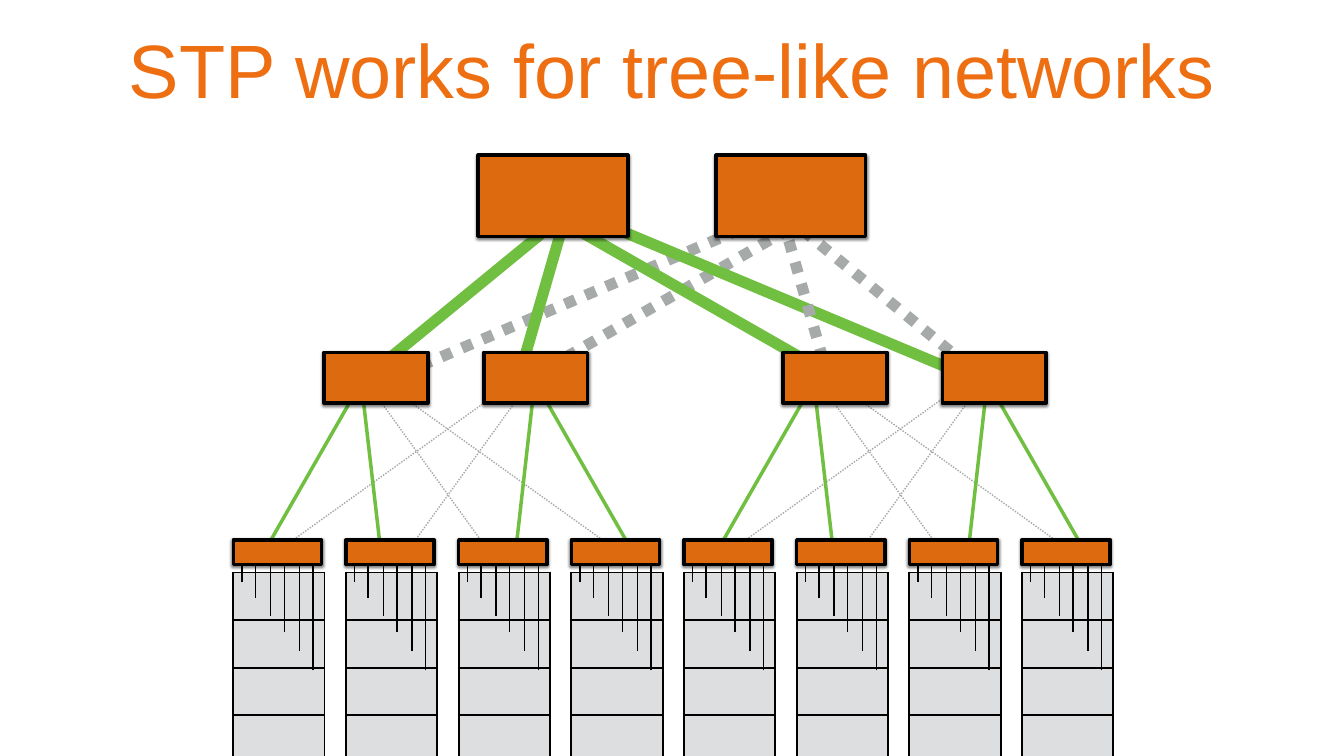
from lxml import etree
from pptx import Presentation
from pptx.dml.color import RGBColor
from pptx.enum.dml import MSO_LINE
from pptx.enum.shapes import MSO_CONNECTOR, MSO_SHAPE
from pptx.enum.text import MSO_ANCHOR, PP_ALIGN
from pptx.oxml import parse_xml
from pptx.oxml.ns import nsdecls, qn
from pptx.util import Inches, Pt

STRAIGHT, RECTANGLE = MSO_CONNECTOR.STRAIGHT, MSO_SHAPE.RECTANGLE
DOTTED = MSO_LINE.ROUND_DOT  # sysDot
MIDDLE, CENTER = MSO_ANCHOR.MIDDLE, PP_ALIGN.CENTER

THEME = {
    "font": "Arial", "title_size": 108,
    "title": "EE6E12", "switch": "DE6A10", "server": "DCDEE0", "outline": "000000",
    "active": "70BF41", "blocked": "A6AAA9",
    "core_link": 16, "active_link": 5, "blocked_link": 2,
    "switch_line": 5, "server_line": 3, "cable": 2,
}

# Content: positions count columns and rows of the slide grid
TITLE = "STP works for tree-like networks"
COLUMNS, ROWS = 26.67, 15
TITLE_AREA = (1.81, -0.01, 23.05, 2.71)

CORE_SWITCHES = {"lefts": (9.49, 14.21), "top": 3.08, "size": (2.97, 1.61)}
POD_SWITCHES = {"lefts": (6.43, 9.6, 15.54, 18.7), "top": 6.99, "size": (2.06, 1.01)}

# Core links: start x, start y, end x, end y
BLOCKED_BEHIND = [(15.66, 4.54, 10.67, 7.41), (15.09, 4.38, 7.54, 7.6)]
ACTIVE_CORE = [(11.44, 4.55, 16.44, 7.41), (11.87, 4.39, 19.56, 7.61),
               (11.2, 4.36, 10.31, 7.44), (10.81, 4.58, 7.36, 7.41)]
BLOCKED_FRONT = [(15.53, 4.35, 16.42, 7.43), (15.93, 4.57, 19.38, 7.4)]

# Links inside the first pod, repeated at the pod pitch
PODS, POD_PITCH = 2, 8.98
POD_BLOCKED = [(10.43, 7.69, 8.19, 10.79), (10.03, 7.69, 5.67, 10.82),
               (7.36, 7.7, 9.6, 10.8), (7.75, 7.7, 12.12, 10.83)]
POD_ACTIVE = [(10.62, 7.5, 10.25, 10.79), (10.67, 7.66, 12.44, 10.75),
              (7.16, 7.51, 7.54, 10.8), (7.12, 7.67, 5.35, 10.76)]

# Racks: top-of-rack switch, cables and a column of servers
RACKS, RACK_LEFT, RACK_PITCH = 8, 4.63, 2.236
RACK_SWITCH_TOP, RACK_SWITCH_SIZE = 10.71, (1.75, 0.49)
SERVERS, SERVER_TOP, SERVER_WIDTH, SERVER_HEIGHT, SERVER_PADDING = 6, 11.36, 1.81, 0.35, 0.32
CABLE_TOP = 10.99
CABLES = [(0.17, 11.54), (0.44, 11.86), (0.74, 12.22),
          (1.01, 12.54), (1.31, 12.92), (1.58, 13.3)]  # offset, lower end

deck = Presentation()
deck.slide_width, deck.slide_height = Inches(COLUMNS), Inches(ROWS)
page = deck.slides.add_slide(deck.slide_layouts[5])
column, row = deck.slide_width / COLUMNS, deck.slide_height / ROWS


def place(x, y, width, height):
    return [round(v) for v in (x * column, y * row, width * column, height * row)]


def color(name):
    return RGBColor.from_string(THEME[name])


def add_link(ends, color_name, weight, dotted=False):
    link = page.shapes.add_connector(STRAIGHT, *place(*ends))
    link.line.color.rgb = color(color_name)
    link.line.width = Pt(THEME[weight])
    if dotted:
        link.line.dash_style = DOTTED
    etree.SubElement(link._element.spPr, qn("a:effectLst"))


def add_links(links, color_name, weight, dotted=False, shift=0):
    for x1, y1, x2, y2 in links:
        add_link((x1 + shift, y1, x2 + shift, y2), color_name, weight, dotted)


def add_switch(left, top, size):
    switch = page.shapes.add_shape(RECTANGLE, *place(left, top, *size))
    switch.fill.solid()
    switch.fill.fore_color.rgb = color("switch")
    switch.line.color.rgb = color("outline")
    switch.line.width = Pt(THEME["switch_line"])
    switch.shadow.inherit = False
    switch._element.spPr.find(qn("a:effectLst")).append(parse_xml(
        f'<a:outerShdw {nsdecls("a")} blurRad="{Pt(4)}" dist="{Pt(2)}" dir="5400000" '
        'rotWithShape="0"><a:srgbClr val="000000"><a:alpha val="50000"/></a:srgbClr>'
        '</a:outerShdw>'))


def add_switches(tier):
    for left in tier["lefts"]:
        add_switch(left, tier["top"], tier["size"])


def add_servers(left):
    frame = page.shapes.add_table(SERVERS, 1, *place(
        left, SERVER_TOP, SERVER_WIDTH, SERVERS * SERVER_HEIGHT))
    table = frame.table
    table.first_row = table.horz_banding = False
    for cell in table.iter_cells():
        cell.margin_top = cell.margin_bottom = round(SERVER_PADDING * row)
        cell.fill.solid()
        cell.fill.fore_color.rgb = color("server")
        for index, side in enumerate(("lnL", "lnR", "lnT", "lnB")):
            cell._tc.get_or_add_tcPr().insert(index, parse_xml(
                f'<a:{side} {nsdecls("a")} w="{Pt(THEME["server_line"])}"><a:solidFill>'
                f'<a:srgbClr val="{THEME["outline"]}"/></a:solidFill></a:{side}>'))


def add_rack(left):
    add_servers(left)
    for offset, bottom in CABLES:
        add_link((left + offset, bottom, left + offset, CABLE_TOP), "outline", "cable")
    add_switch(left, RACK_SWITCH_TOP, RACK_SWITCH_SIZE)


# Links between the tiers
add_links(BLOCKED_BEHIND, "blocked", "core_link", dotted=True)
for pod in range(PODS):
    add_links(POD_BLOCKED, "blocked", "blocked_link", dotted=True, shift=pod * POD_PITCH)
    add_links(POD_ACTIVE, "active", "active_link", shift=pod * POD_PITCH)
add_links(ACTIVE_CORE, "active", "core_link")
add_links(BLOCKED_FRONT, "blocked", "core_link", dotted=True)

# Racks and switches cover the link ends
for number in range(RACKS):
    add_rack(RACK_LEFT + number * RACK_PITCH)
add_switches(POD_SWITCHES)
add_switches(CORE_SWITCHES)

# Title
title = page.shapes.title
title.left, title.top, title.width, title.height = place(*TITLE_AREA)
box = title.text_frame
box.word_wrap = True
box.vertical_anchor = MIDDLE
box.margin_left = box.margin_right = box.margin_top = box.margin_bottom = Inches(0.08)
para = box.paragraphs[0]
para.alignment = CENTER
span = para.add_run()
span.text = TITLE
span.font.name = THEME["font"]
span.font.size = Pt(THEME["title_size"])
span.font.color.rgb = color("title")

deck.save("out.pptx")
